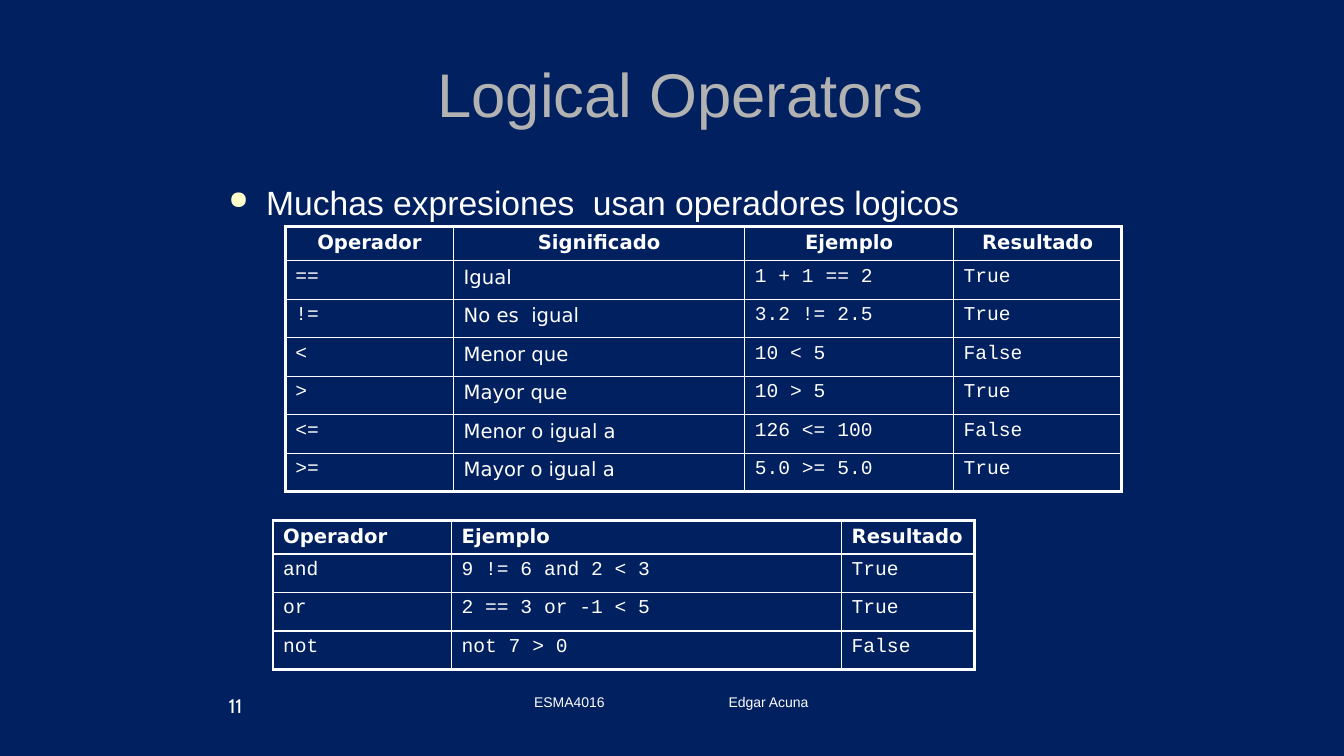
import pptx
import pptx.util
import pptx.dml.color
import pptx.enum.text
import pptx.oxml
import pptx.oxml.ns
from lxml import etree

Cm, Pt = pptx.util.Cm, pptx.util.Pt
ALIGN = pptx.enum.text.PP_ALIGN
ANCHOR = pptx.enum.text.MSO_ANCHOR

NAVY, WHITE, GREY, CREAM = "002060", "FFFFFF", "B2B2B2", "FFFFCC"
SANS, HEADING, CODE, NUMBER = "Arial", "DejaVu Sans", "Courier New", "Cabin"

TITLE = " Logical Operators"
STATEMENT = "Muchas expresiones  usan operadores logicos"
PAGE = "11"
FOOTER = "ESMA4016\tEdgar Acuna"

LOGICAL = {
    "rows": [
        ("Operador", "Ejemplo", "Resultado"),
        ("and", "9 != 6 and 2 < 3", "True"),
        ("or", "2 == 3 or -1 < 5", "True"),
        ("not", "not 7 > 0", "False"),
    ],
    "corner": (6.88, 13.11),
    "widths": (4.5, 9.83, 3.35),
    "header_height": 0.84,
    "header_align": ALIGN.LEFT,
}
COMPARISON = {
    "rows": [
        ("Operador", "Significado", "Ejemplo", "Resultado"),
        ("==", "Igual", "1 + 1 == 2", "True"),
        ("!=", "No es  igual", "3.2 != 2.5", "True"),
        ("<", "Menor que", "10 < 5", "False"),
        (">", "Mayor que", "10 > 5", "True"),
        ("<=", "Menor o igual a", "126 <= 100", "False"),
        (">=", "Mayor o igual a", "5.0 >= 5.0", "True"),
    ],
    "corner": (7.19, 5.71),
    "widths": (4.24, 7.34, 5.26, 4.24),
    "header_height": 0.86,
    "header_align": ALIGN.CENTER,
}
ROW_HEIGHT = 0.97
OUTER, INNER = 2.25, 1


def color(value):
    return pptx.dml.color.RGBColor.from_string(value)


def add_xml(parent, tag, **attributes):
    child = etree.SubElement(parent, pptx.oxml.ns.qn(tag))
    for key, value in attributes.items():
        child.set(key, str(value))
    return child


def style(paragraph, text, size, font, ink=WHITE, align=ALIGN.LEFT, bold=False):
    paragraph.text = text
    paragraph.alignment = align
    paragraph.font.size = Pt(size)
    paragraph.font.name = font
    paragraph.font.bold = bold
    paragraph.font.color.rgb = color(ink)


def add_text(slide, box, text, size, font, ink=WHITE, align=ALIGN.LEFT, anchor=ANCHOR.TOP):
    frame = slide.shapes.add_textbox(*map(Cm, box)).text_frame
    frame.word_wrap = True
    frame.vertical_anchor = anchor
    style(frame.paragraphs[0], text, size, font, ink, align)
    return frame


def add_border(cell, side, width):
    line = add_xml(cell._tc.get_or_add_tcPr(), f"a:ln{side}", w=Pt(width))
    add_xml(add_xml(line, "a:solidFill"), "a:srgbClr", val=WHITE)


def add_operators(slide, content):
    rows, widths = content["rows"], content["widths"]
    heights = [content["header_height"]] + [ROW_HEIGHT] * (len(rows) - 1)
    size = (sum(widths), sum(heights))
    table = slide.shapes.add_table(
        len(rows), len(widths), *map(Cm, content["corner"] + size)).table
    table.first_row = table.horz_banding = False
    for column, width in zip(table.columns, widths):
        column.width = Cm(width)
    for row, height in zip(table.rows, heights):
        row.height = Cm(height)
    for r, row in enumerate(rows):
        for c, text in enumerate(row):
            cell = table.cell(r, c)
            header = r == 0
            plain = header or rows[0][c] == "Significado"
            style(cell.text_frame.paragraphs[0], text, 14,
                  HEADING if plain else CODE,
                  align=content["header_align"] if header else ALIGN.LEFT,
                  bold=header)
            on_edge = {"L": c == 0, "R": c == len(widths) - 1,
                       "T": header, "B": r == len(rows) - 1}
            for side, outer in on_edge.items():
                add_border(cell, side, OUTER if outer else INNER)
            cell.fill.background()


def main():
    deck = pptx.Presentation()
    deck.slide_width, deck.slide_height = Cm(33.87), Cm(19.05)
    slide = deck.slides.add_slide(deck.slide_layouts[6])
    slide.background.fill.solid()
    slide.background.fill.fore_color.rgb = color(NAVY)

    add_text(slide, (5.51, 17.35, 5.92, 1.27), PAGE, 14, NUMBER)
    add_text(slide, (1.7, 0.76, 30.48, 3.18), TITLE, 44, SANS, GREY,
             ALIGN.CENTER, ANCHOR.MIDDLE)

    statement = add_text(slide, (5.51, 4.45, 23.7, 12.57), STATEMENT, 24, SANS).paragraphs[0]
    statement.space_before = Pt(4)
    bullet = statement._p.get_or_add_pPr()
    bullet.set("marL", str(Cm(0.95)))
    bullet.set("indent", str(-Cm(0.95)))
    tail = bullet.find(pptx.oxml.ns.qn("a:defRPr"))
    add_xml(add_xml(bullet, "a:buClr"), "a:srgbClr", val=CREAM)
    add_xml(bullet, "a:buSzPct", val=75000)
    add_xml(bullet, "a:buChar", char="●")
    bullet.append(tail)

    add_operators(slide, LOGICAL)
    add_operators(slide, COMPARISON)

    footer = add_text(slide, (11.58, 17.35, 10.72, 1.27), FOOTER, 10, SANS)
    footer.margin_left = Cm(1.88)
    stops = footer.paragraphs[0]._p.get_or_add_pPr()
    tail = stops.find(pptx.oxml.ns.qn("a:defRPr"))
    add_xml(add_xml(stops, "a:tabLst"), "a:tab", pos=Cm(4.9), algn="l")
    stops.append(tail)

    deck.save("out.pptx")


if __name__ == "__main__":
    main()
